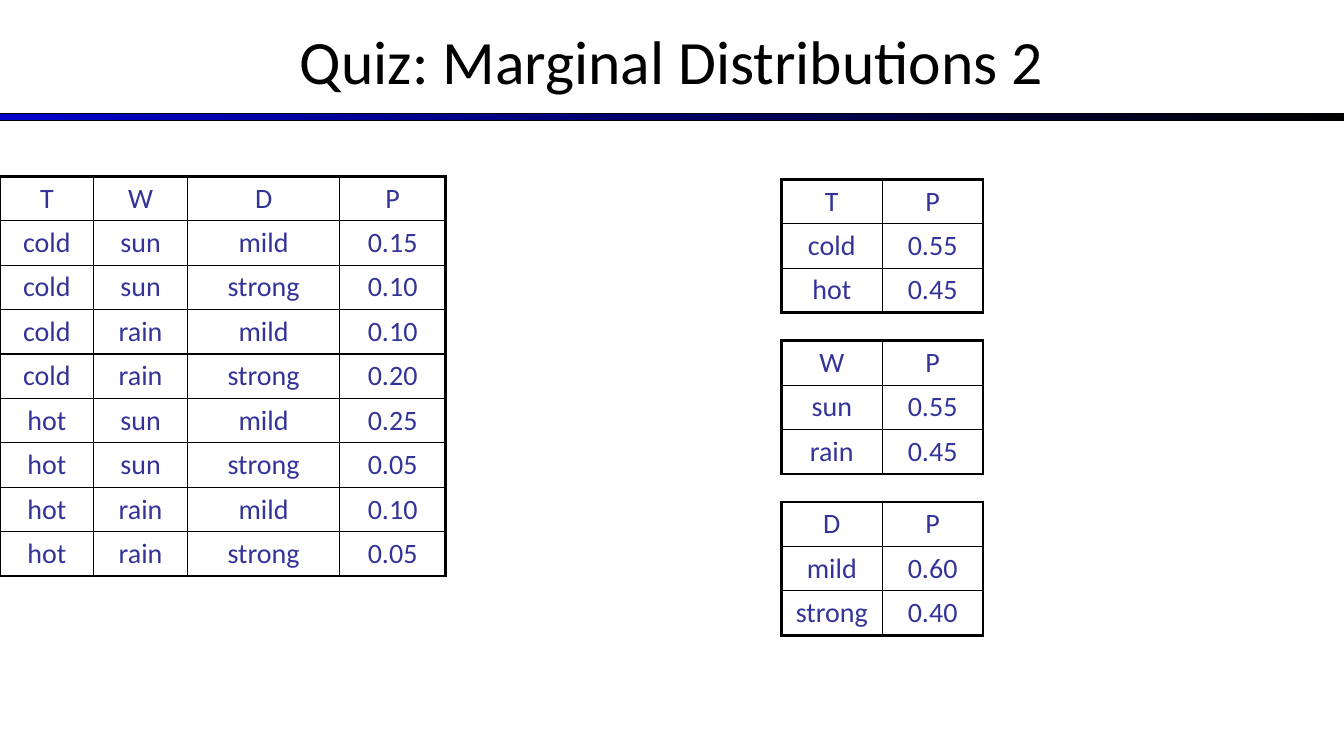
"""Build a quiz slide with a joint table and three marginal tables."""
from dataclasses import dataclass

from lxml import etree
from pptx import Presentation
from pptx.dml.color import RGBColor
from pptx.enum.shapes import MSO_SHAPE
from pptx.enum.text import MSO_ANCHOR, PP_ALIGN
from pptx.oxml.ns import qn
from pptx.slide import Slide
from pptx.table import _Cell
from pptx.text.text import TextFrame
from pptx.util import Emu, Pt

RECT = MSO_SHAPE.RECTANGLE
MIDDLE = MSO_ANCHOR.MIDDLE
CENTER = PP_ALIGN.CENTER
SCALE = 9144
WIDE, HIGH = 1333, 750
FONT = "Calibri"
BLACK, BLUE, INK = "000000", "0000CC", "333399"
THIN, THICK = 1, 2.25
TITLE_ONLY = 5


@dataclass(frozen=True)
class Grid:
    """A probability table with its place and sizes in px."""
    left: int
    top: int
    cols: tuple[int, ...]
    row: int
    pad: int
    foot: float
    text: str


JOINT = """T W D P
cold sun mild 0.15
cold sun strong 0.10
cold rain mild 0.10
cold rain strong 0.20
hot sun mild 0.25
hot sun strong 0.05
hot rain mild 0.10
hot rain strong 0.05"""

PARTS = (
    "T P\ncold 0.55\nhot 0.45",
    "W P\nsun 0.55\nrain 0.45",
    "D P\nmild 0.60\nstrong 0.40",
)

GRIDS = [Grid(0, 175, (93, 93, 151, 105), 40, 12, THIN, JOINT)] + [
    Grid(775, 178 + 160 * i, (100, 100), 43, 10, THICK, part)
    for i, part in enumerate(PARTS)
]


def px(size: int) -> Emu:
    """Turn px into EMU."""
    return Emu(size * SCALE)


def paint(code: str) -> RGBColor:
    """Turn a hex string into a colour."""
    return RGBColor.from_string(code)


def write(frame: TextFrame, text: str, size: int, color: str) -> None:
    """Write one centred run."""
    para = frame.paragraphs[0]
    para.alignment = CENTER
    run = para.add_run()
    run.text = text
    font = run.font
    font.name, font.size, font.bold = FONT, Pt(size), False
    font.color.rgb = paint(color)


def edge(cell: _Cell, side: str, width: float) -> None:
    """Add a black border to one side of a cell."""
    line = etree.SubElement(cell._tc.get_or_add_tcPr(), qn(f"a:ln{side}"), w=str(Pt(width)))
    fill = etree.SubElement(line, qn("a:solidFill"))
    etree.SubElement(fill, qn("a:srgbClr"), val=BLACK)


def draw_grid(slide: Slide, grid: Grid) -> None:
    """Draw a table with a thick outer frame."""
    rows = [line.split() for line in grid.text.splitlines()]
    last, end = len(rows) - 1, len(grid.cols) - 1
    table = slide.shapes.add_table(
        len(rows), len(grid.cols), px(grid.left), px(grid.top),
        px(sum(grid.cols)), px(grid.row * len(rows)),
    ).table
    table.first_row = table.horz_banding = False
    for col, width in zip(table.columns, grid.cols):
        col.width = px(width)
    for r, words in enumerate(rows):
        for c, word in enumerate(words):
            cell = table.cell(r, c)
            cell.margin_left = cell.margin_right = px(grid.pad)
            cell.margin_top = cell.margin_bottom = px(5)
            edge(cell, "L", THIN if c else THICK)
            edge(cell, "R", THICK if c == end else THIN)
            edge(cell, "T", THIN if r else THICK)
            edge(cell, "B", grid.foot if r == last else THIN)
            cell.fill.background()
            write(cell.text_frame, word, 20, INK)


def draw_bar(slide: Slide) -> None:
    """Draw the gradient rule under the title."""
    bar = slide.shapes.add_shape(RECT, px(0), px(113), px(WIDE), px(7))
    bar.shadow.inherit = False
    bar.fill.gradient()
    bar.fill.gradient_angle = 0
    for stop, color, place in zip(bar.fill.gradient_stops, (BLUE, BLACK), (0, 1)):
        stop.color.rgb = paint(color)
        stop.position = place
    bar.line.color.rgb = paint(BLACK)
    bar.line.width = Pt(0.75)


def draw_title(slide: Slide, text: str) -> None:
    """Place and fill the title."""
    title = slide.shapes.title
    title.left, title.top = px(0), px(-3)
    title.width, title.height = px(WIDE), px(125)
    frame = title.text_frame
    frame.vertical_anchor = MIDDLE
    frame.margin_left = frame.margin_right = px(10)
    frame.margin_top = frame.margin_bottom = px(5)
    write(frame, text, 44, BLACK)


def main() -> None:
    """Build and save the slide."""
    deck = Presentation()
    deck.slide_width, deck.slide_height = px(WIDE), px(HIGH)
    slide = deck.slides.add_slide(deck.slide_layouts[TITLE_ONLY])
    draw_bar(slide)
    draw_title(slide, "Quiz: Marginal Distributions 2")
    for grid in GRIDS:
        draw_grid(slide, grid)
    deck.save("out.pptx")


if __name__ == "__main__":
    main()
